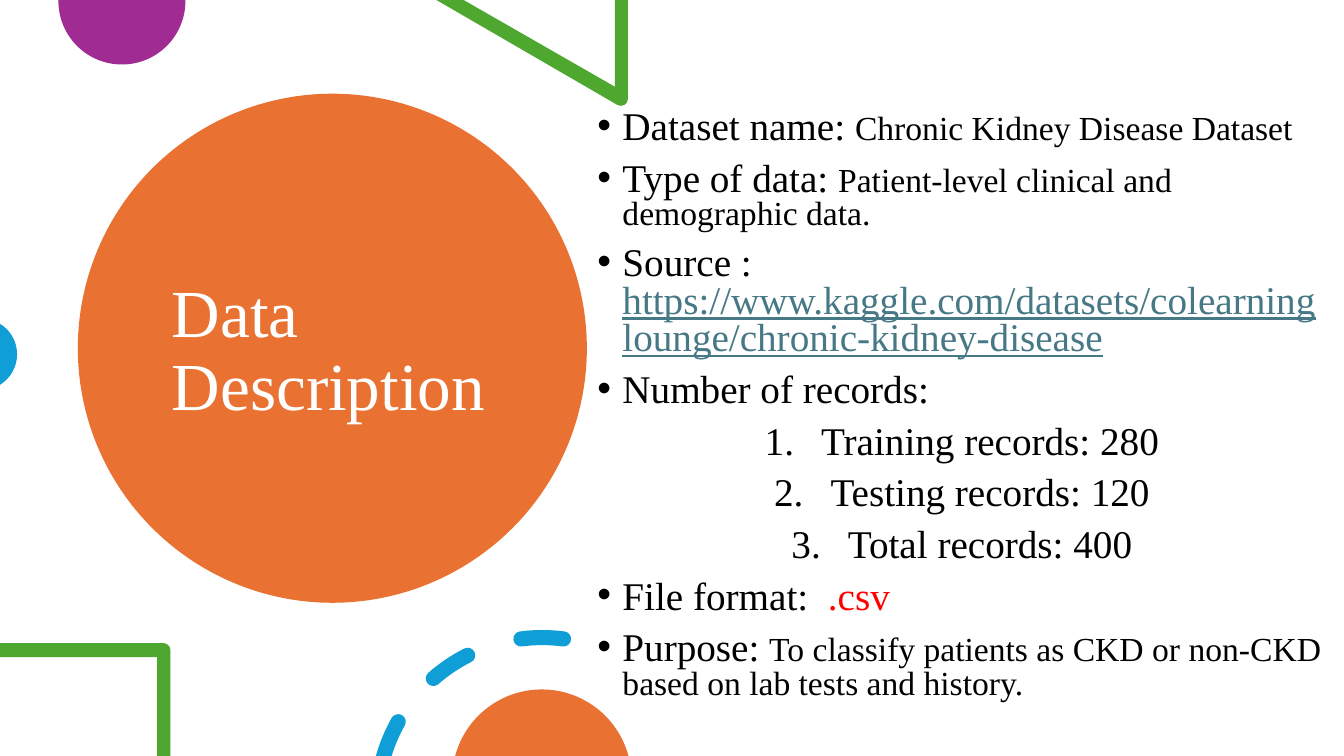
from math import asin, ceil, cos, degrees, radians, sin, tan

from lxml.etree import SubElement
from pptx import Presentation
from pptx.dml.color import RGBColor
from pptx.enum.shapes import MSO_SHAPE
from pptx.enum.text import MSO_ANCHOR, PP_ALIGN
from pptx.oxml.ns import qn
from pptx.util import Inches, Pt

COLORS = {"orange": "E97132", "purple": "A02B93", "green": "4EA72E", "blue": "0F9ED5",
          "white": "FFFFFF", "black": "000000", "link": "467886", "red": "FF0000"}
COLUMNS, ROWS = 400 / 3, 75  # square grid cells


def on_circle(cx, cy, radius, angle):
    """Point at an angle in degrees, clockwise from three o'clock."""
    return cx + radius * cos(radians(angle)), cy + radius * sin(radians(angle))


def arc(cx, cy, radius, start, end):
    """The first point, then one Bezier curve for each quarter turn or less."""
    pieces = ceil(abs(end - start) / 90)
    sweep = (end - start) / pieces
    reach = 4 / 3 * tan(radians(sweep / 4)) * radius
    segments = [on_circle(cx, cy, radius, start)]
    for piece in range(pieces):
        a, b = start + piece * sweep, start + (piece + 1) * sweep
        first, last = on_circle(cx, cy, radius, a), on_circle(cx, cy, radius, b)
        segments.append((on_circle(*first, reach, a + 90), on_circle(*last, -reach, b + 90), last))
    return segments


class DataSlide:
    font = "Times New Roman"
    cell = Inches(0.1)

    def __init__(self):
        self.deck = Presentation()
        self.deck.slide_width = self.grid(COLUMNS)
        self.deck.slide_height = self.grid(ROWS)
        self.slide = self.deck.slides.add_slide(self.deck.slide_layouts[6])

    def grid(self, cells):
        return round(cells * self.cell)

    def paint(self, shape, color):
        shape.shadow.inherit = False
        shape.fill.solid()
        shape.fill.fore_color.rgb = RGBColor.from_string(COLORS[color])
        shape.line.fill.background()

    def circle(self, column, row, size, color):
        box = [self.grid(n) for n in (column, row, size, size)]
        self.paint(self.slide.shapes.add_shape(MSO_SHAPE.OVAL, *box), color)

    def outline(self, contours, color):
        """Each contour mixes points with curves of two handles and an end."""
        builder = None
        for contour in contours:
            points = [(self.grid(x), self.grid(y)) for segment in contour
                      for x, y in (segment if len(segment) == 3 else [segment])]
            if builder:
                builder.move_to(*points[0])
            else:
                builder = self.slide.shapes.build_freeform(*points[0], scale=1.0)
            builder.add_line_segments(points[1:], close=False)
        shape = builder.convert_to_shape()
        self.bend(shape, contours)
        self.paint(shape, color)

    def bend(self, shape, contours):
        (track,) = shape._element.iter(qn("a:path"))
        steps = iter(list(track))
        for contour in contours:
            for segment in contour:
                step = next(steps)
                if len(segment) == 3:
                    step.tag = qn("a:cubicBezTo")
                    for extra in (next(steps), next(steps)):
                        step.append(extra[0])
                        track.remove(extra)
            step.addnext(step.makeelement(qn("a:close")))

    def text_frame(self, column, row, columns, rows, anchor):
        box = [self.grid(n) for n in (column, row, columns, rows)]
        frame = self.slide.shapes.add_textbox(*box).text_frame
        frame.word_wrap = True
        frame.vertical_anchor = anchor
        return frame

    def style(self, run, size, color):
        run.font.name = self.font
        run.font.size = Pt(size)
        run.font.color.rgb = RGBColor.from_string(COLORS[color])
        run.font.underline = True if color == "link" else None

    def title(self, text, *box):
        paragraph = self.text_frame(*box, MSO_ANCHOR.MIDDLE).paragraphs[0]
        paragraph.text = text
        paragraph.line_spacing = 0.9
        self.style(paragraph.runs[0], 48, "white")

    def bullet(self, paragraph, numbered):
        properties = paragraph._p.get_or_add_pPr()
        indent = Inches(0.56 if numbered else 0.25)
        properties.set("marL", str(indent))
        properties.set("indent", str(-indent))
        if numbered:
            paragraph.alignment = PP_ALIGN.CENTER
            SubElement(properties, qn("a:buFont"), typeface="+mj-lt")
            SubElement(properties, qn("a:buAutoNum"), type="arabicPeriod")
        else:
            SubElement(properties, qn("a:buFont"), typeface="Arial")
            SubElement(properties, qn("a:buChar"), char="•")

    def facts(self, items, *box):
        frame = self.text_frame(*box, MSO_ANCHOR.TOP)
        for index, (numbered, pieces) in enumerate(items):
            paragraph = frame.add_paragraph() if index else frame.paragraphs[0]
            paragraph.line_spacing = 0.8
            paragraph.space_before = Pt(10 if index else 0)
            self.bullet(paragraph, numbered)
            for text, size, color in pieces:
                run = paragraph.add_run()
                run.text = text
                self.style(run, size, color)

    def dashed_ring(self, cx, cy, radius, half, dashes, color):
        """Round-capped dashes; a dash without a start is cut by the slide's foot."""
        outer, inner = radius + half, radius - half
        contours = []
        for start, end in dashes:
            outer_start, inner_start = [start or 180 + degrees(asin((cy - ROWS) / r))
                                        for r in (outer, inner)]
            tip = on_circle(cx, cy, radius, end)
            contour = arc(cx, cy, outer, outer_start, end) + arc(*tip, half, end, end + 180)[1:]
            contour += arc(cx, cy, inner, end, inner_start)[1:]
            if start:
                tail = on_circle(cx, cy, radius, start)
                contour += arc(*tail, half, start + 180, start + 360)[1:]
            contours.append(contour)
        self.outline(contours, color)


def main():
    page = DataSlide()

    # Title disc
    page.circle(7.72, 9.3, 50.5, "orange")
    page.title("Data Description", 16.07, 12.7, 38.4, 44.5)

    # Decorations along the top and left edges
    page.outline([[(18.4, 0), (5.8, 0)] + arc(12.1, 0.1, 6.3, 180, 0)], "purple")
    page.outline([[(62.3, 0), (61, 0), (61, 8.6), (46, 0), (43.3, 0)]
                  + arc(61.6, 9.8, 0.7, 120, 0)], "green")
    page.outline([arc(-1.85, 35.15, 3.55, -58.6, 58.6)], "blue")

    # Dataset facts
    page.facts([
        (False, [("Dataset name: ", 28, "black"),
                 ("Chronic Kidney Disease Dataset", 24, "black")]),
        (False, [("Type of data: ", 28, "black"),
                 ("Patient-level clinical and demographic data.", 24, "black")]),
        (False, [("Source : ", 28, "black"),
                 ("https://www.kaggle.com/datasets/colearninglounge/chronic-kidney-disease",
                  28, "link")]),
        (False, [("Number of records:", 28, "black")]),
        (True, [("Training records: 280", 28, "black")]),
        (True, [("Testing records: 120", 28, "black")]),
        (True, [("Total records: 400", 28, "black")]),
        (False, [("File format:  ", 28, "black"), (".csv", 28, "red")]),
        (False, [("Purpose: ", 28, "black"),
                 ("To classify patients as CKD or non-CKD based on lab tests and history.",
                  24, "black")]),
    ], 58.27, 10.5, 74.3, 61.3)

    # Decorations along the bottom edge
    page.outline([[(0, 63.8), (0, 65.2), (15.6, 65.2), (15.6, 75), (16.9, 75)]
                  + arc(16.2, 64.5, 0.7, 0, -90)], "green")
    page.dashed_ring(53.8, 79.65, 16.4, 0.75,
                     [(None, 209.4), (228.8, 243.2), (262.6, 277.4)], "blue")
    page.outline([arc(53.75, 77.3, 8.9, 195, 345)], "orange")

    page.deck.save("out.pptx")


if __name__ == "__main__":
    main()
